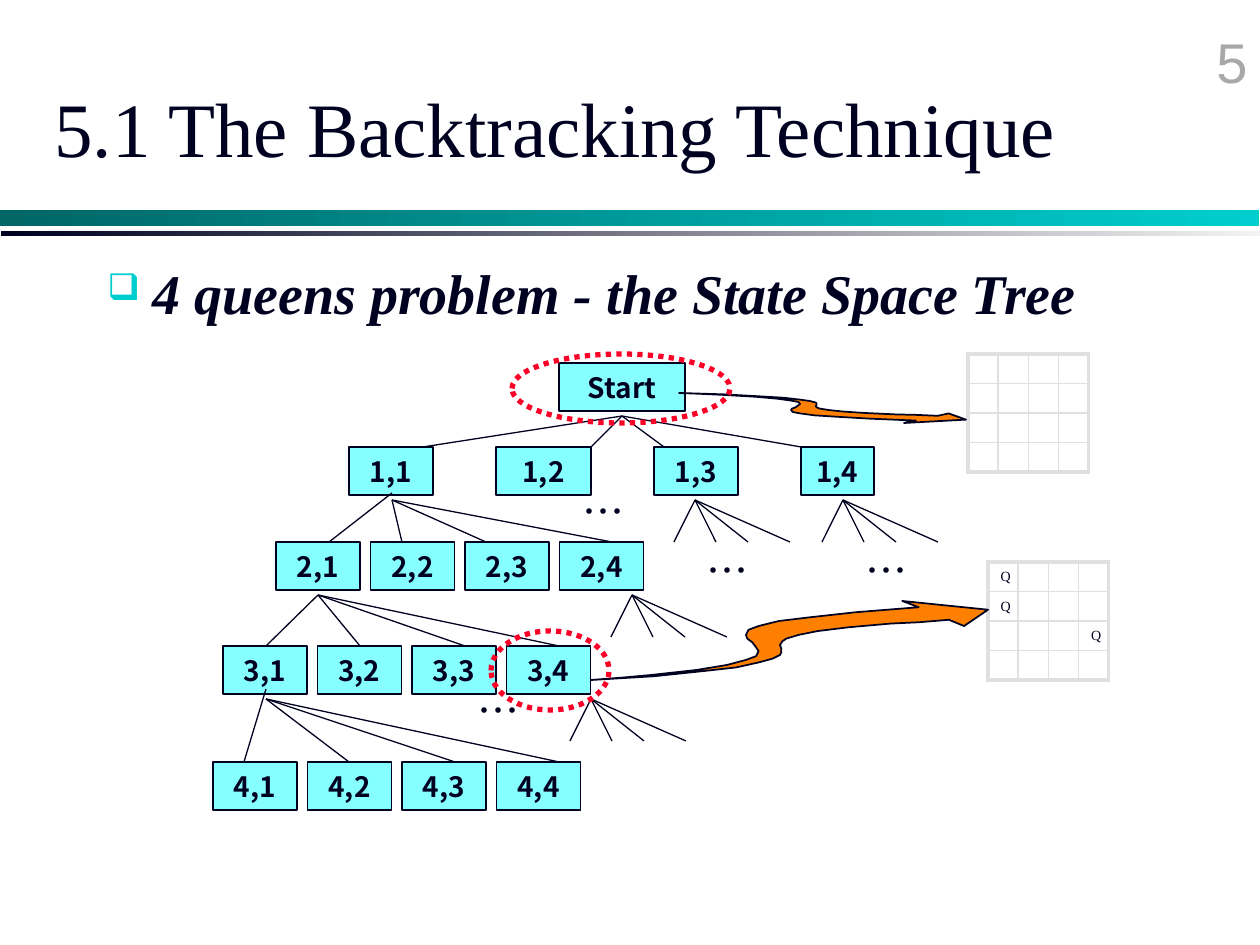
from lxml.etree import SubElement
from pptx import Presentation
from pptx.dml.color import RGBColor
from pptx.enum.dml import MSO_LINE
from pptx.enum.shapes import MSO_CONNECTOR, MSO_SHAPE
from pptx.enum.text import MSO_ANCHOR, PP_ALIGN
from pptx.oxml.ns import qn
from pptx.util import Pt

COLORS = {"ink": "000020", "node": "85FFFF", "teal": "006666", "aqua": "00CECE",
          "pale": "F3F3F3", "gray": "A8A8A8", "grid": "E0E0E0",
          "arrow": "FF8000", "ring": "FC0128"}
SERIF, SANS, CJK = "Times New Roman", "Arial", "Noto Sans CJK KR"
# Outline of the wavy arrow in a frame of 315 by 63 units
FRAME = (315, 63)
WAVE = [(247, 0), (315, 7), (296, 20), (284, 15), (260, 17), (238, 18), (204, 21),
        (180, 24), (165, 27), (155, 30), (152, 32), (150, 35), (151, 38), (151, 41),
        (150, 43), (144, 46), (133, 49), (115, 53), (88, 56), (50, 60), (0, 63),
        (26, 61), (48, 59), (84, 55), (108, 51), (123, 47), (131, 44), (133, 40),
        (131, 37), (128, 33), (124, 30), (123, 27), (125, 23), (133, 20), (149, 16),
        (174, 13), (210, 9), (260, 5)]


def px(n):
    return round(n * 914400 / 126)


def color(name):
    return RGBColor.from_string(COLORS[name])


def write(frame, text, size, font, hue="ink", bold=False, italic=False,
          align=PP_ALIGN.LEFT, anchor=MSO_ANCHOR.TOP):
    frame.word_wrap = True
    frame.vertical_anchor = anchor
    para = frame.paragraphs[0]
    para.alignment = align
    run = para.add_run()
    run.text = text
    run.font.size, run.font.name = Pt(size), font
    run.font.bold, run.font.italic = bold, italic
    run.font.color.rgb = color(hue)
    SubElement(run.font._element, qn("a:ea"), typeface=font)
    return para


def label(slide, box, text, size, font, **style):
    frame = slide.shapes.add_textbox(*map(px, box)).text_frame
    return write(frame, text, size, font, **style)


def shape(slide, kind, box, fill=None, line=None, width=0.75):
    item = slide.shapes.add_shape(kind, *map(px, box))
    paint(item, fill, line, width)
    return item


def paint(item, fill, line, width):
    item.shadow.inherit = False
    if fill:
        item.fill.solid()
        item.fill.fore_color.rgb = color(fill)
    else:
        item.fill.background()
    if line:
        item.line.color.rgb = color(line)
        item.line.width = Pt(width)
    else:
        item.line.fill.background()


def header(slide, x, y):
    for box, hues in (((x, y + 210, 1259, 16), ("teal", "aqua")),
                      ((x + 1, y + 231, 1259, 5), ("ink", "pale"))):
        bar = shape(slide, MSO_SHAPE.RECTANGLE, box)
        bar.fill.gradient()
        bar.fill.gradient_angle = 0
        for stop, hue, spot in zip(bar.fill.gradient_stops, hues, (0, 1)):
            stop.color.rgb = color(hue)
            stop.position = spot
    label(slide, (x + 998, y + 21, 262, 63), "5", 32, SANS, hue="gray",
          align=PP_ALIGN.RIGHT)
    label(slide, (x + 42, y + 48, 1071, 158), "5.1 The Backtracking Technique",
          44, SERIF, anchor=MSO_ANCHOR.MIDDLE)


def topic(slide, box):
    frame = slide.shapes.add_textbox(*map(px, box)).text_frame
    para = write(frame, " ", 28, SERIF)
    write(frame, "4 queens problem - the State Space Tree", 32, SERIF,
          bold=True, italic=True)
    para.space_before = Pt(4)
    props = para._p.get_or_add_pPr()
    props.set("marL", str(px(32)))
    props.set("indent", str(-px(32)))
    hue = SubElement(props, qn("a:buClr"))
    SubElement(hue, qn("a:srgbClr"), val=COLORS["aqua"])
    SubElement(props, qn("a:buSzPct"), val="75000")
    SubElement(props, qn("a:buChar"), char="❑")


def node(slide, x, y, width, text):
    box = shape(slide, MSO_SHAPE.RECTANGLE, (x, y, width, 48), "node", "ink")
    frame = box.text_frame
    frame.margin_left = frame.margin_right = 0
    write(frame, text, 16, CJK, bold=True, align=PP_ALIGN.CENTER,
          anchor=MSO_ANCHOR.MIDDLE)


def edge(slide, *ends):
    line = slide.shapes.add_connector(MSO_CONNECTOR.STRAIGHT, *map(px, ends))
    line.line.color.rgb = color("ink")
    line.line.width = Pt(0.75)
    SubElement(line._element.spPr, qn("a:effectLst"))


def tree(slide, x, y):
    node(slide, x + 346, y, 126, "Start")
    for i, (left, width) in enumerate(((136, 84), (283, 95), (441, 84), (588, 73)), 1):
        node(slide, x + left, y + 84, width, f"1,{i}")
    for row, left, top in ((2, 63, 179), (3, 10, 283), (4, 0, 399)):
        for i in range(4):
            node(slide, x + left + 94.5 * i, y + top, 84, f"{row},{i + 1}")

    # Apex, rise of the first edge, ends of the edges and their level
    fans = [(409, 53, 0, (210, 378, 451, 588), 84),
            (179, 137, 7, (116, 189, 273, 399), 179),
            (105, 232, 0, (53, 147, 252, 346), 283),
            (53, 336, 10, (31, 136, 242, 346), 399)]
    for left, top in ((482, 137), (630, 137), (419, 232), (378, 336)):
        ends = [left + step for step in (-21, 21, 53, 95)]
        fans.append((left, top, 0, ends, top + 42))
    for left, top, rise, ends, base in fans:
        for i, end in enumerate(ends):
            start = top - rise if i == 0 else top
            edge(slide, x + left, y + start, x + end, y + base)

    for left, top in ((357, 116), (252, 315), (481, 175), (640, 175)):
        label(slide, (x + left, y + top, 94, 63), "…", 24, CJK)


def board(slide, x, y, queens=()):
    """Draw a 4 by 4 board with queens at (row, column)."""
    frame = slide.shapes.add_table(4, 4, *map(px, (x, y, 121, 117)))
    table = frame.table
    for i in range(4):
        table.columns[i].width = px(30.2)
        table.rows[i].height = px(29.5)
    for row in range(4):
        for col in range(4):
            cell = table.cell(row, col)
            cell.margin_top = cell.margin_bottom = 0
            cell.margin_right = 0
            cell.vertical_anchor = MSO_ANCHOR.MIDDLE
            props = cell._tc.get_or_add_tcPr()
            for side, outer in (("L", col == 0), ("R", col == 3),
                                ("T", row == 0), ("B", row == 3)):
                line = SubElement(props, qn(f"a:ln{side}"), w=str(Pt(2.25 if outer else 1)))
                fill = SubElement(line, qn("a:solidFill"))
                SubElement(fill, qn("a:srgbClr"), val=COLORS["grid"])
            cell.fill.background()
            if (row, col) in queens:
                write(cell.text_frame, "Q", 8, SERIF, anchor=MSO_ANCHOR.MIDDLE)
            else:
                cell.text_frame.paragraphs[0].font.size = Pt(8)


def arrow(slide, box, flip=False):
    x, y, width, height = box
    dots = [(px(x + a * width / FRAME[0]),
             px(y + (FRAME[1] - b if flip else b) * height / FRAME[1]))
            for a, b in WAVE]
    path = slide.shapes.build_freeform(*dots[0])
    path.add_line_segments(dots[1:], close=True)
    paint(path.convert_to_shape(), "arrow", "ink", 1)


def ring(slide, box):
    oval = shape(slide, MSO_SHAPE.OVAL, box, line="ring", width=3)
    oval.line.dash_style = MSO_LINE.ROUND_DOT


def main():
    deck = Presentation()
    deck.slide_width, deck.slide_height = px(1260), px(945)
    slide = deck.slides.add_slide(deck.slide_layouts[6])
    header(slide, 0, 0)
    topic(slide, (95, 252, 1150, 588))
    tree(slide, 213, 363)
    board(slide, 988, 562, queens=((0, 0), (1, 0), (2, 3)))
    arrow(slide, (591, 601, 397, 79))
    ring(slide, (491, 631, 118, 79))
    board(slide, 968, 354)
    arrow(slide, (679, 393, 287, 30), flip=True)
    ring(slide, (512, 354, 218, 69))
    deck.save("out.pptx")


if __name__ == "__main__":
    main()
